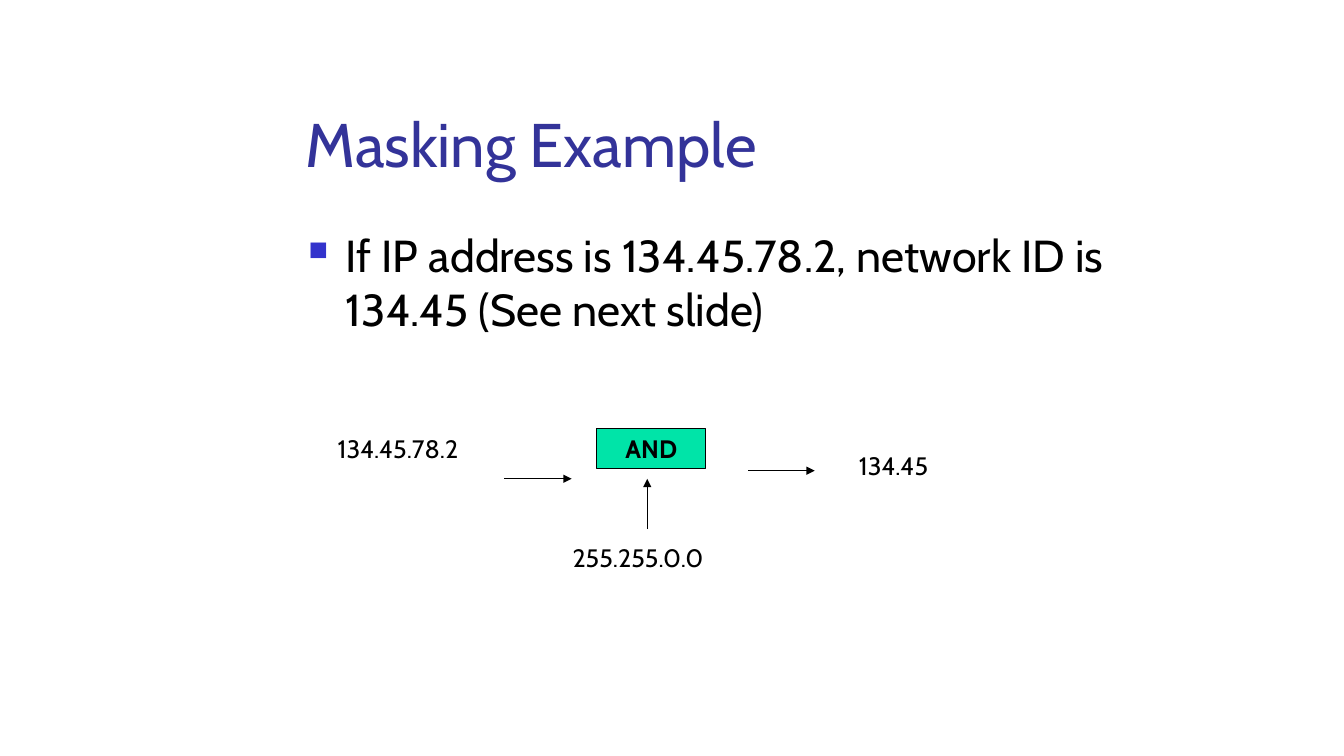
from pptx import Presentation
from pptx.dml.color import RGBColor
from pptx.enum.shapes import MSO_CONNECTOR as Link, MSO_SHAPE as Form
from pptx.enum.text import MSO_ANCHOR as Anchor, PP_ALIGN as Align
from pptx.oxml import parse_xml
from pptx.oxml.ns import nsdecls, qn
from pptx.util import Inches, Pt


def tint(code):
    return RGBColor.from_string(code)


class Deck:
    """Holds the style and the current slide."""

    face = "Cabin"
    ink = "000000"
    thin = Pt(0.75)

    def __init__(self, slide):
        self.slide = slide

    def label(self, shape, words, size, color=ink, bold=False,
              align=Align.LEFT, anchor=Anchor.TOP, mark=None):
        frame = shape.text_frame
        frame.word_wrap = True
        frame.vertical_anchor = anchor
        para = frame.paragraphs[0]
        para.text = words
        para.alignment = align
        if mark:
            self.bullet(para, mark)
        look = {"name": self.face, "size": Pt(size), "bold": bold}
        for key, value in look.items():
            setattr(para.runs[0].font, key, value)
        para.runs[0].font.color.rgb = tint(color)

    def bullet(self, para, color):
        props = para._p.get_or_add_pPr()
        hang = Inches(0.37)
        props.set("marL", str(hang))
        props.set("indent", str(-hang))
        for part in (f'<a:buClr {nsdecls("a")}><a:srgbClr val="{color}"/></a:buClr>',
                     f'<a:buSzPct {nsdecls("a")} val="60000"/>',
                     f'<a:buChar {nsdecls("a")} char="■"/>'):
            props.append(parse_xml(part))

    def text(self, box, words, size, **style):
        shape = self.slide.shapes.add_textbox(*map(Inches, box))
        self.label(shape, words, size, **style)

    def block(self, box, words, size, fill, **style):
        shape = self.slide.shapes.add_shape(Form.RECTANGLE, *map(Inches, box))
        shape.shadow.inherit = False
        shape.fill.solid()
        shape.fill.fore_color.rgb = tint(fill)
        shape.line.color.rgb = tint(self.ink)
        shape.line.width = self.thin
        self.label(shape, words, size, **style)

    def arrow(self, start, end):
        line = self.slide.shapes.add_connector(
            Link.STRAIGHT, *map(Inches, start + end))
        line.line.color.rgb = tint(self.ink)
        line.line.width = self.thin
        props = line._element.spPr
        props.find(qn("a:ln")).append(
            parse_xml(f'<a:tailEnd {nsdecls("a")} type="triangle"/>'))
        props.append(parse_xml(f'<a:effectLst {nsdecls("a")}/>'))


def main():
    show = Presentation()
    show.slide_width, show.slide_height = Inches(13.33), Inches(7.5)
    deck = Deck(show.slides.add_slide(show.slide_layouts[6]))

    deck.text((2.93, 0.23, 8.52, 1.6), "Masking Example", 44,
              color="333399", anchor=Anchor.BOTTOM)
    deck.text((2.96, 2.21, 8.5, 4.5),
              "If IP address is 134.45.78.2, network ID is 134.45 (See next slide)",
              32, mark="3333CC")

    tall = 0.4
    for left, top, width, words in ((3.25, 4.25, 1.58, "134.45.78.2"),
                                    (5.58, 5.33, 1.58, "255.255.0.0"),
                                    (8.42, 4.42, 1.42, "134.45")):
        deck.text((left, top, width, tall), words, 18)
    deck.block((5.92, 4.25, 1.08, tall), "AND", 18, "00E4A8",
               bold=True, align=Align.CENTER)

    for start, end in (((5, 4.75), (5.67, 4.75)),
                       ((6.42, 5.25), (6.42, 4.75)),
                       ((7.42, 4.67), (8.08, 4.67))):
        deck.arrow(start, end)

    show.save("out.pptx")


if __name__ == "__main__":
    main()
